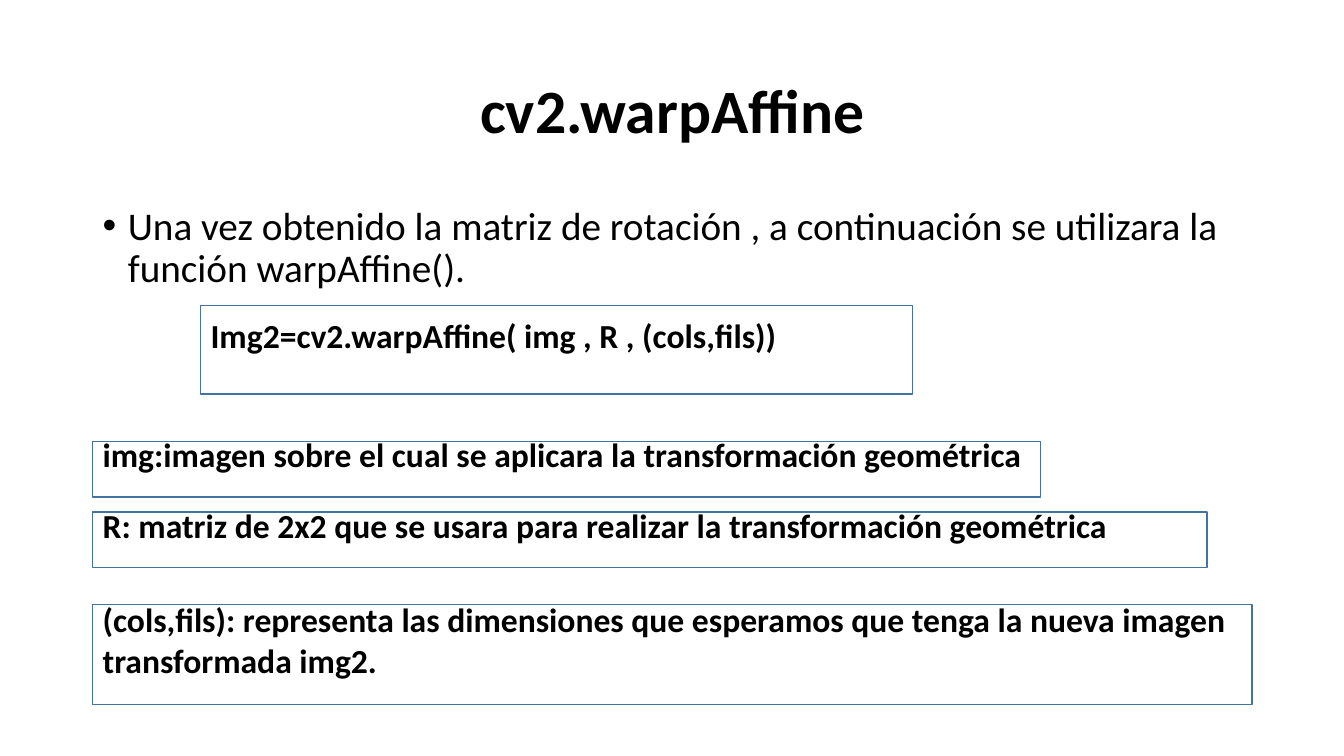
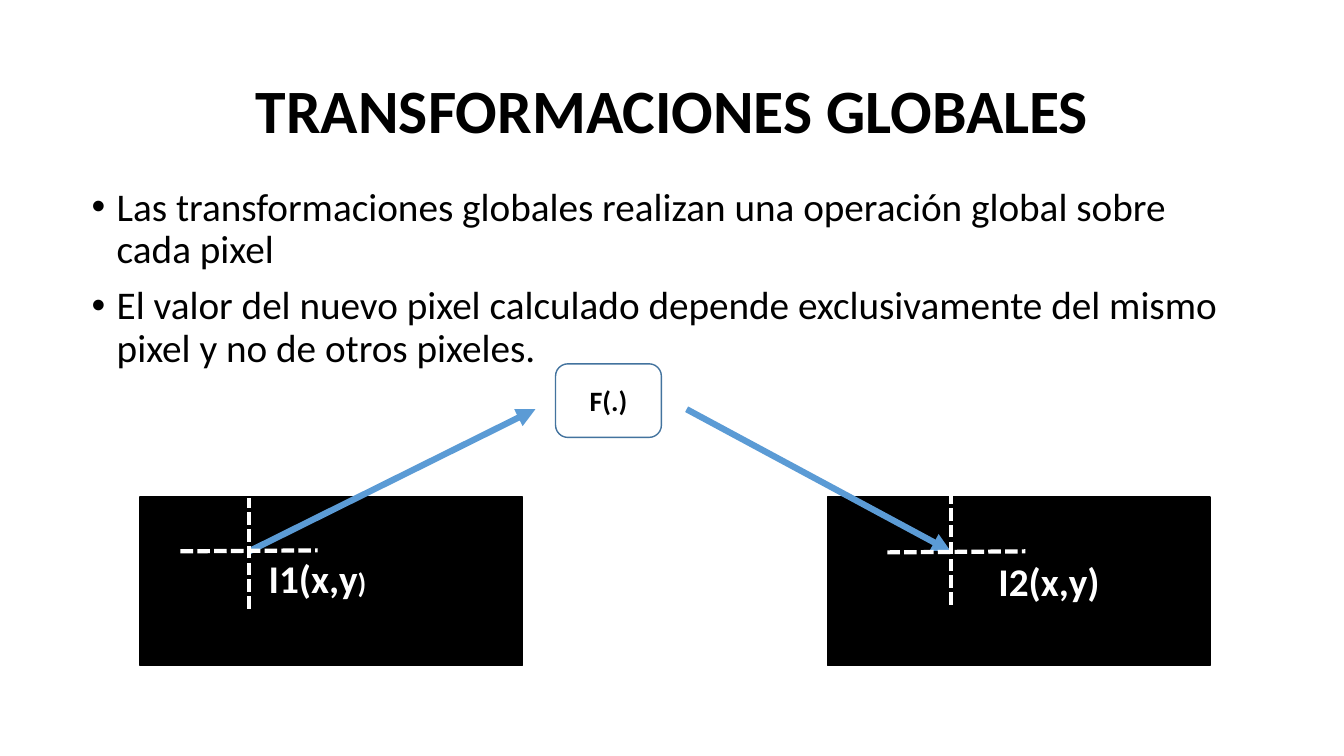
"""Build two slides about image transformations."""
import lxml.etree
import pptx
import pptx.dml.color
import pptx.enum.dml
import pptx.enum.shapes
import pptx.enum.text
import pptx.oxml.ns
import pptx.util

SCALE = 9144
FONT = "Calibri"
BLACK, WHITE, OUTLINE, ARROW = "000000", "FFFFFF", "43739E", "5B9BD5"
ALIGN = pptx.enum.text.PP_ALIGN
ANCHOR = pptx.enum.text.MSO_ANCHOR
SHAPE = pptx.enum.shapes.MSO_SHAPE
TITLE_AREA = (92, 40, 1150, 145)
BLANK_LINE = 30


def px(*lengths):
    """Turn lengths in px into EMU."""
    return [pptx.util.Emu(length * SCALE) for length in lengths]


def color(value):
    """Turn a hex string into a colour."""
    return pptx.dml.color.RGBColor.from_string(value)


def add_xml(parent, tag, **attributes):
    """Append a DrawingML element to a parent."""
    return lxml.etree.SubElement(parent, pptx.oxml.ns.qn(tag), **attributes)


def add_text(para, text, size=24, fill=BLACK, bold=True):
    """Add a formatted span to a paragraph."""
    span = para.add_run()
    span.text = text
    span.font.name = FONT
    span.font.size = pptx.util.Pt(size)
    span.font.bold = bold
    span.font.color.rgb = color(fill)


def add_title(page, text):
    """Add the centred slide title."""
    frame = page.shapes.add_textbox(*px(*TITLE_AREA)).text_frame
    frame.word_wrap = True
    frame.vertical_anchor = ANCHOR.MIDDLE
    para = frame.paragraphs[0]
    para.alignment = ALIGN.CENTER
    para.line_spacing = 0.9
    add_text(para, text, size=44)


def add_bullets(page, area, texts):
    """Add the bulleted body text."""
    frame = page.shapes.add_textbox(*px(*area)).text_frame
    frame.word_wrap = True
    for index, text in enumerate(texts):
        para = frame.add_paragraph() if index else frame.paragraphs[0]
        para.line_spacing = 0.9
        para.space_before = pptx.util.Pt(10)
        add_text(para, text, size=28, bold=False)
        properties = para._p.get_or_add_pPr()
        indent = px(25)[0]
        properties.set("marL", str(indent))
        properties.set("indent", str(-indent))
        add_xml(properties, "a:buFont", typeface="Arial")
        add_xml(properties, "a:buChar", char="•")


def add_box(page, area, kind=SHAPE.RECTANGLE, fill=None, line=None):
    """Add a preset shape with optional fill and outline."""
    box = page.shapes.add_shape(kind, *px(*area))
    box.shadow.inherit = False
    if fill:
        box.fill.solid()
        box.fill.fore_color.rgb = color(fill)
    else:
        box.fill.background()
    if line:
        box.line.color.rgb = color(line)
        box.line.width = pptx.util.Pt(1)
    else:
        box.line.fill.background()
    box.text_frame.word_wrap = True
    box.text_frame.vertical_anchor = ANCHOR.MIDDLE
    return box


def add_definition(page, area, text):
    """Add an outlined box whose text sits above centre."""
    frame = add_box(page, area, fill=WHITE, line=OUTLINE).text_frame
    frame.margin_bottom = px(5 + BLANK_LINE)[0]
    para = frame.paragraphs[0]
    para.alignment = ALIGN.LEFT
    add_text(para, text)


def add_label(page, area, spans, fill=WHITE, line=None):
    """Add a rounded label made of (text, size) spans."""
    box = add_box(page, area, kind=SHAPE.ROUNDED_RECTANGLE, line=line)
    para = box.text_frame.paragraphs[0]
    para.alignment = ALIGN.CENTER
    for text, size in spans:
        add_text(para, text, size=size, fill=fill)


def add_line(page, ends, stroke, width, dashed=False, arrow=False):
    """Add a straight line, dashed or with an arrowhead."""
    line = page.shapes.add_connector(
        pptx.enum.shapes.MSO_CONNECTOR.STRAIGHT, *px(*ends))
    line.line.color.rgb = color(stroke)
    line.line.width = pptx.util.Pt(width)
    if dashed:
        line.line.dash_style = pptx.enum.dml.MSO_LINE.SQUARE_DOT
    if arrow:
        add_xml(line.line._get_or_add_ln(), "a:tailEnd", type="triangle")
    add_xml(line._element.spPr, "a:effectLst")


def build_warp_affine(page):
    """Build the slide that explains warpAffine."""
    add_title(page, "cv2.warpAffine")
    add_bullets(page, (92, 200, 1150, 476), [
        "Una vez obtenido la matriz de rotación , a continuación se utilizara "
        "la función warpAffine().",
    ])
    definitions = [
        ((199, 303, 706, 88), "Img2=cv2.warpAffine( img , R , (cols,fils))"),
        ((92, 438, 940, 55),
         "img:imagen sobre el cual se aplicara la transformación geométrica"),
        ((92, 508, 1105, 55),
         "R: matriz de 2x2 que se usara para realizar la transformación "
         "geométrica"),
        ((92, 600, 1150, 99),
         "(cols,fils): representa las dimensiones que esperamos que tenga la "
         "nueva imagen transformada img2."),
    ]
    for area, text in definitions:
        add_definition(page, area, text)


def build_global_transformations(page):
    """Build the slide that maps one pixel through F."""
    add_title(page, "TRANSFORMACIONES GLOBALES")
    add_bullets(page, (81, 181, 1150, 476), [
        "Las transformaciones globales realizan una operación global sobre "
        "cada pixel",
        "El valor del nuevo pixel calculado depende exclusivamente del mismo "
        "pixel y no de otros pixeles.",
    ])
    for left in (139, 821):
        add_box(page, (left, 493, 379, 167), fill=BLACK, line=BLACK)
    for ends in ((247, 547, 531, 406), (681, 406, 943, 547)):
        add_line(page, ends, ARROW, 4.5, arrow=True)
    crosshairs = [
        (247, 604, 247, 494), (179, 547, 315, 546),
        (880, 548, 1017, 547), (943, 600, 943, 491),
    ]
    for ends in crosshairs:
        add_line(page, ends, WHITE, 3, dashed=True)
    add_label(page, (551, 361, 105, 73), [("F(.)", 20)],
              fill=BLACK, line=OUTLINE)
    add_label(page, (237, 537, 156, 73), [("I1(x,y", 28), (")", 20)])
    add_label(page, (944, 540, 193, 73), [("I2(x,y)", 28)])


def main():
    """Build and save the deck."""
    deck = pptx.Presentation()
    deck.slide_width, deck.slide_height = px(1333, 750)
    for build in (build_warp_affine, build_global_transformations):
        build(deck.slides.add_slide(deck.slide_layouts[6]))
    deck.save("out.pptx")


if __name__ == "__main__":
    main()
